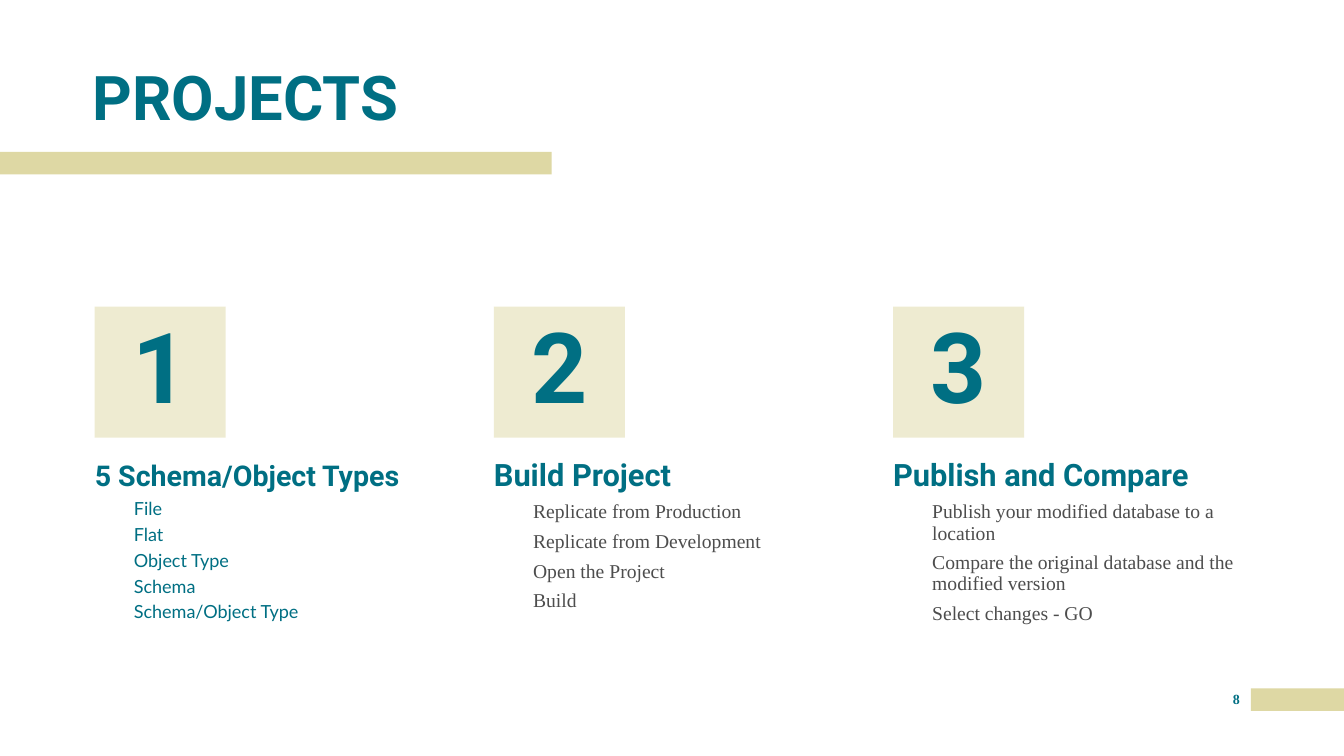
"""Build the Projects slide with three numbered steps."""
from lxml.etree import SubElement
from pptx import Presentation
from pptx.dml.color import RGBColor
from pptx.enum.shapes import MSO_SHAPE
from pptx.enum.text import MSO_ANCHOR, MSO_AUTO_SIZE, PP_ALIGN
from pptx.oxml.ns import qn
from pptx.util import Pt

TEAL = RGBColor(0x00, 0x6F, 0x83)
SAND = RGBColor(0xDE, 0xD8, 0xA4)
GREY = RGBColor(0x4D, 0x4D, 0x4D)
LEFT, STEP = 67.7, 285.1


def write(shape, lines, font, size, color=TEAL, bold=True, align=PP_ALIGN.LEFT,
          anchor=MSO_ANCHOR.TOP, space=0.9):
    frame = shape.text_frame
    layout = dict(margin_left=0, margin_top=0, margin_right=0, margin_bottom=0,
                  word_wrap=True, auto_size=MSO_AUTO_SIZE.NONE, vertical_anchor=anchor)
    for name, value in layout.items():
        setattr(frame, name, value)
    frame.text = "\n".join(lines)
    for row, para in enumerate(frame.paragraphs):
        para.alignment = align
        para.line_spacing = space
        para.space_before = Pt(6 if row else 0)
        for name, value in dict(name=font, size=Pt(size), bold=bold).items():
            setattr(para.font, name, value)
        para.font.color.rgb = color


def block(left, top, width, height):
    shape = slide.shapes.add_shape(MSO_SHAPE.RECTANGLE, Pt(left), Pt(top), Pt(width), Pt(height))
    shape.shadow.inherit = False
    shape.fill.solid()
    shape.fill.fore_color.rgb = SAND
    shape.line.fill.background()
    return shape


deck = Presentation()
deck.slide_width, deck.slide_height = Pt(960), Pt(540)
slide = deck.slides.add_slide(deck.slide_layouts[5])

block(893.6, 491.8, 66.4, 16)
block(0, 108.6, 394, 16)

title = slide.shapes.title
title.left, title.top, title.width, title.height = Pt(66.2), Pt(49), Pt(614), Pt(46.8)
write(title, ["PROJECTS"], "Roboto", 44, anchor=MSO_ANCHOR.BOTTOM)

lato = dict(font="Lato", size=12.9, color=TEAL, space=0.8)
times = dict(font="Times New Roman", size=14, color=GREY)
steps = [
    ("5 Schema/Object Types", 20.4, lato,
     ["File", "Flat", "Object Type", "Schema", "Schema/Object Type"]),
    ("Build Project", 22, times,
     ["Replicate from Production", "Replicate from Development", "Open the Project", "Build"]),
    ("Publish and Compare", 22, times,
     ["Publish your modified database to a location",
      "Compare the original database and the modified version",
      "Select changes - GO"]),
]
for index, (head, size, style, items) in enumerate(steps):
    left = LEFT + index * STEP
    tile = block(left, 219, 93.6, 93.6)
    tint = tile.fill._xPr.find(qn("a:solidFill"))[0]
    SubElement(tint, qn("a:alpha"), val="50000")
    write(tile, [str(index + 1)], "Roboto", 70, align=PP_ALIGN.CENTER, anchor=MSO_ANCHOR.MIDDLE)
    label = slide.shapes.add_textbox(Pt(left), Pt(315.4), Pt(258.5), Pt(36.7))
    write(label, [head], "Roboto", size, anchor=MSO_ANCHOR.BOTTOM)
    notes = slide.shapes.add_textbox(Pt(left + 28), Pt(358.6), Pt(230.4), Pt(89.3))
    write(notes, items, bold=False, **style)

number = slide.shapes.add_textbox(Pt(872.6), Pt(493.2), Pt(20.9), Pt(18))
write(number, ["8"], "Times New Roman", 10, align=PP_ALIGN.CENTER, space=1.0)

deck.save("out.pptx")
